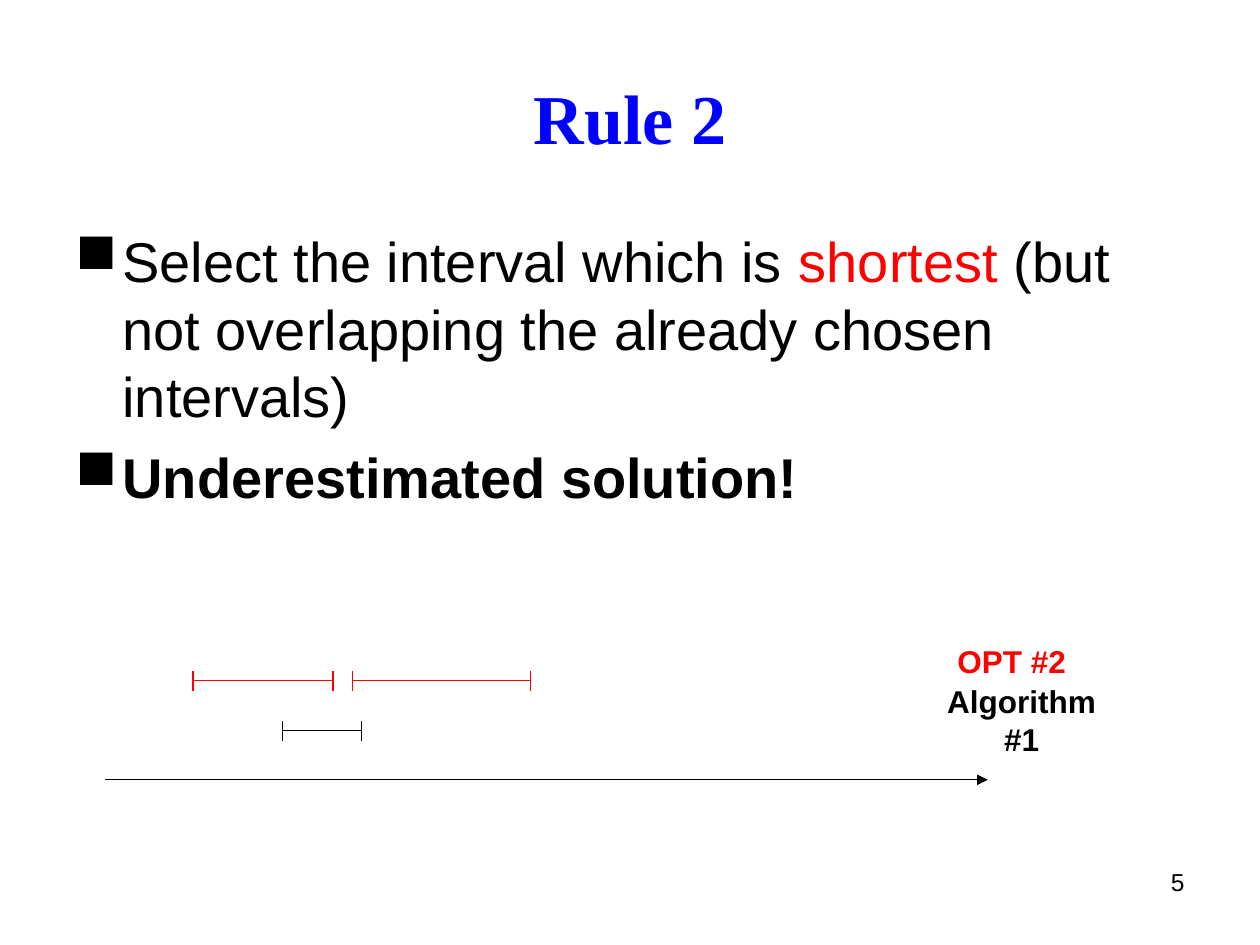
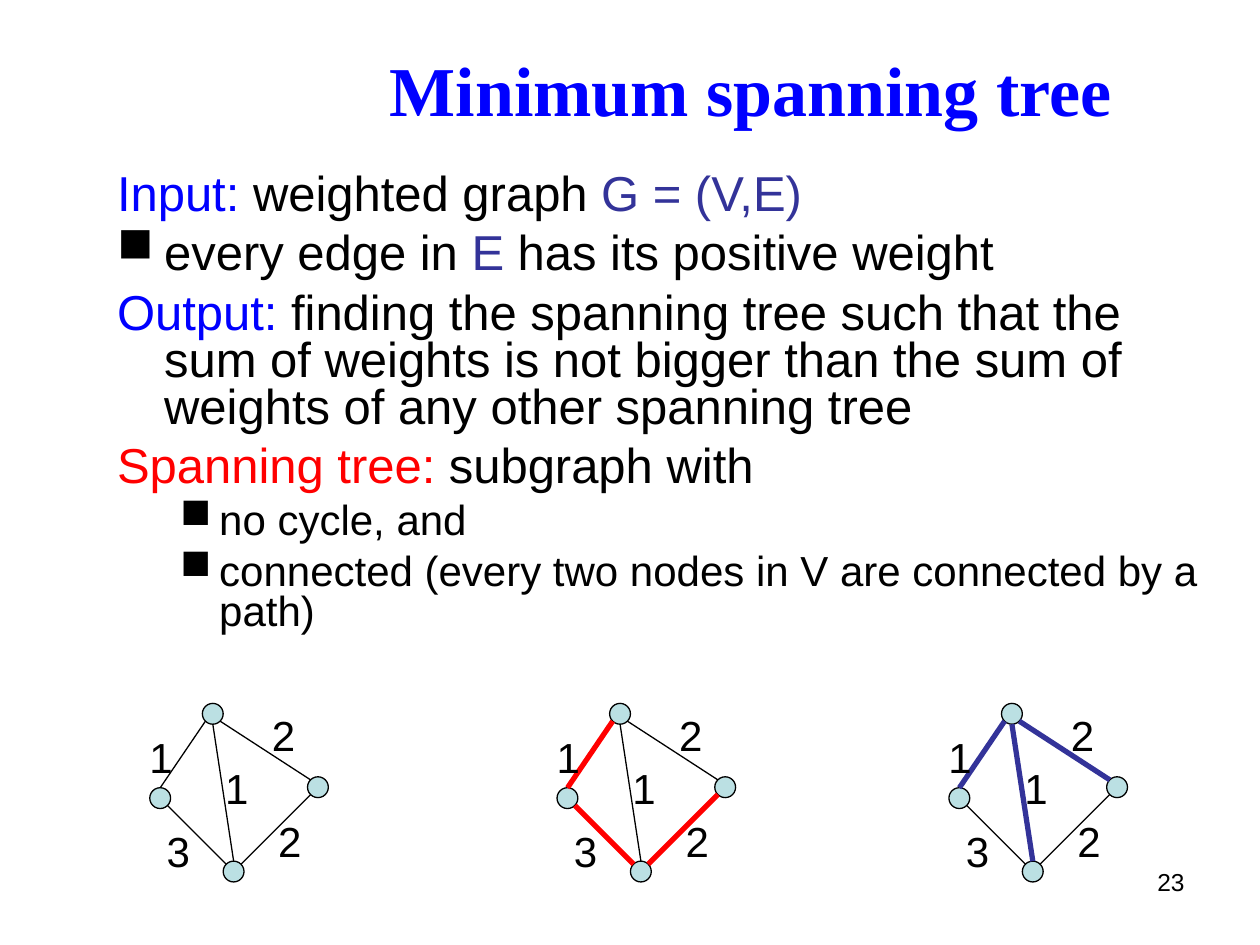
from math import cos, radians, sin

from lxml import etree
from pptx import Presentation
from pptx.dml.color import RGBColor
from pptx.enum.shapes import MSO_CONNECTOR, MSO_SHAPE
from pptx.enum.text import MSO_ANCHOR, PP_ALIGN
from pptx.oxml.ns import qn
from pptx.util import Cm, Pt

# Enum members
STRAIGHT = MSO_CONNECTOR.STRAIGHT
ELLIPSE = MSO_SHAPE.OVAL
TOP, MIDDLE = MSO_ANCHOR.TOP, MSO_ANCHOR.MIDDLE
LEFT, CENTER, RIGHT = PP_ALIGN.LEFT, PP_ALIGN.CENTER, PP_ALIGN.RIGHT

# Shared look
BLACK = RGBColor(0x00, 0x00, 0x00)
WHITE = RGBColor(0xFF, 0xFF, 0xFF)
RED = RGBColor(0xFF, 0x00, 0x00)
BLUE = RGBColor(0x00, 0x00, 0xFF)
INDIGO = RGBColor(0x33, 0x33, 0x99)
NODE_FILL = RGBColor(0xBB, 0xE0, 0xE3)
BODY_FONT, TITLE_FONT = "Arial", "Times New Roman"
THIN, THICK = 0.75, 3
PAGE_NUMBER_AREA = (18.21, 17.35, 5.92, 1.32)

# Left indent and hanging indent of each list level, in cm
LEVEL_INDENTS = ((0.95, -0.95), (2.06, -0.79))

# Interval drawing, in cm: start, end, height, colour
INTERVALS = (
    (5.69, 7.29, 14.73, BLACK),
    (3.89, 6.71, 13.72, RED),
    (7.11, 10.69, 13.72, RED),
)
END_MARK = 0.2

# Weighted graph, in cm: node corners relative to the graph's left edge
NODE_SIZE = 0.42
NODES = {
    "left": (0, 15.88),
    "top": (1.06, 14.18),
    "right": (3.18, 15.66),
    "bottom": (1.48, 17.36),
}
# Edge name: start node, angle, end node, angle, weight, weight position
EDGES = {
    "top-right": ("top", 45, "right", 225, 2, (2.21, 14.17)),
    "top-left": ("top", 135, "left", 270, 1, (-0.26, 14.61)),
    "left-bottom": ("left", 45, "bottom", 225, 3, (0.09, 16.51)),
    "bottom-right": ("bottom", 315, "right", 135, 2, (2.34, 16.31)),
    "top-bottom": ("top", 90, "bottom", 270, 1, (1.27, 15.24)),
}
# Graph's left edge, highlight colour, highlighted edges
GRAPHS = (
    (3.02, BLACK, ()),
    (11.23, RED, ("top-left", "left-bottom", "bottom-right")),
    (19.13, INDIGO, ("top-right", "top-left", "top-bottom")),
)


def format_run(run, size, color=BLACK, bold=False, name=BODY_FONT):
    run.font.size = Pt(size)
    run.font.name = name
    run.font.bold = bold
    run.font.color.rgb = color


def add_box(page, area, anchor=TOP, wrap=True):
    box = page.shapes.add_textbox(*map(Cm, area))
    box.text_frame.word_wrap = wrap
    box.text_frame.vertical_anchor = anchor
    return box


def add_label(page, area, text, size, color=BLACK, bold=False, name=BODY_FONT,
              align=CENTER, anchor=MIDDLE, wrap=False):
    box = add_box(page, area, anchor, wrap)
    box.text_frame.text = text
    para = box.text_frame.paragraphs[0]
    para.alignment = align
    format_run(para.runs[0], size, color, bold, name)
    return box


def add_title(page, area, text):
    return add_label(page, area, text, 40, BLUE, True, TITLE_FONT, wrap=True)


def add_page_number(page, number):
    add_label(page, PAGE_NUMBER_AREA, str(number), 14, align=RIGHT, anchor=TOP, wrap=True)


def set_list_style(para, level, bullet):
    properties = para._p.get_or_add_pPr()
    margin, indent = LEVEL_INDENTS[level]
    properties.set("marL", str(Cm(margin)))
    properties.set("indent", str(Cm(indent)))
    if bullet:
        color = etree.SubElement(properties, qn("a:buClr"))
        etree.SubElement(color, qn("a:srgbClr"), val=str(BLACK))
        etree.SubElement(properties, qn("a:buChar"), char="■")


def add_body(page, area, items, sizes, line_spacing=1.0):
    """Each item is (level, bullet, spans); each span is (text, colour, bold)."""
    frame = add_box(page, area).text_frame
    for index, (level, bullet, spans) in enumerate(items):
        para = frame.add_paragraph() if index else frame.paragraphs[0]
        size = sizes[level]
        para.level = level
        para.alignment = LEFT
        para.line_spacing = line_spacing
        para.space_before = Pt(size / 4)
        set_list_style(para, level, bullet)
        for text, *style in spans:
            run = para.add_run()
            run.text = text
            format_run(run, size, *style)


def add_line(page, start, end, color=BLACK, width=THIN, arrow=False):
    line = page.shapes.add_connector(STRAIGHT, *map(Cm, (*start, *end)))
    line.line.color.rgb = color
    line.line.width = Pt(width)
    if arrow:
        etree.SubElement(line.get_or_add_ln(), qn("a:tailEnd"), type="triangle")
    etree.SubElement(line.element.spPr, qn("a:effectLst"))


def add_interval(page, start, end, height, color):
    add_line(page, (start, height), (end, height), color)
    for x in (start, end):
        add_line(page, (x, height - END_MARK), (x, height + END_MARK), color)


def add_node(page, left, top):
    node = page.shapes.add_shape(ELLIPSE, *map(Cm, (left, top, NODE_SIZE, NODE_SIZE)))
    node.shadow.inherit = False
    node.fill.solid()
    node.fill.fore_color.rgb = NODE_FILL
    node.line.color.rgb = BLACK
    node.line.width = Pt(THIN)


def rim_point(origin, name, angle):
    """Point on a node's rim, with the angle measured clockwise from the right."""
    left, top = NODES[name]
    radius = NODE_SIZE / 2
    return (origin + left + radius * (1 + cos(radians(angle))),
            top + radius * (1 + sin(radians(angle))))


def add_graph(page, origin, color, highlighted):
    for left, top in NODES.values():
        add_node(page, origin + left, top)
    for name, (first, first_angle, second, second_angle, _, _) in EDGES.items():
        style = (color, THICK) if name in highlighted else (BLACK, THIN)
        add_line(page, rim_point(origin, first, first_angle),
                 rim_point(origin, second, second_angle), *style)
    for *_, weight, (left, top) in EDGES.values():
        add_label(page, (origin + left, top, 0.97, 1.27), str(weight), 24)


def add_page(deck):
    page = deck.slides.add_slide(deck.slide_layouts[6])
    page.background.fill.solid()
    page.background.fill.fore_color.rgb = WHITE
    return page


def build_rule_page(deck):
    page = add_page(deck)
    add_title(page, (1.27, 0.76, 22.86, 3.18), "Rule 2")
    add_body(page, (1.27, 4.45, 22.86, 12.57), (
        (0, True, (("Select the interval which is ",), ("shortest", RED),
                   (" (but not overlapping the already chosen intervals)",))),
        (0, True, (("Underestimated solution!", BLACK, True),)),
    ), sizes=(32,))

    # Time axis with the intervals above it
    add_line(page, (2.11, 15.72), (19.91, 15.72), arrow=True)
    for interval in INTERVALS:
        add_interval(page, *interval)
    add_label(page, (18.69, 13.92, 3.81, 1.19), "Algorithm #1", 18, bold=True)
    add_label(page, (18.49, 12.73, 3.81, 1.19), "OPT #2", 18, RED, True)
    add_page_number(page, 5)


def build_tree_page(deck):
    page = add_page(deck)
    title = add_title(page, (0.84, 0.2, 23.29, 3.18), "Minimum spanning tree")
    title.text_frame.margin_left = Cm(5.54)
    add_body(page, (2.11, 3.38, 22.66, 9.96), (
        (0, False, (("Input:", BLUE), (" weighted graph ",), ("G = (V,E)", INDIGO))),
        (0, True, (("every edge in ",), ("E", INDIGO), (" has its positive weight",))),
        (0, False, (("Output:", BLUE),
                    (" finding the spanning tree such that the sum of weights is not "
                     "bigger than the sum of weights of any other spanning tree",))),
        (0, False, (("Spanning tree:", RED), (" subgraph with",))),
        (1, True, (("no cycle, and",),)),
        (1, True, (("connected (every two nodes in V are connected by a path)",),)),
    ), sizes=(28, 24), line_spacing=0.8)

    # The same graph with different spanning trees
    for graph in GRAPHS:
        add_graph(page, *graph)
    add_page_number(page, 23)


def main():
    deck = Presentation()
    deck.slide_width, deck.slide_height = Cm(25.4), Cm(19.05)
    build_rule_page(deck)
    build_tree_page(deck)
    deck.save("out.pptx")


if __name__ == "__main__":
    main()
